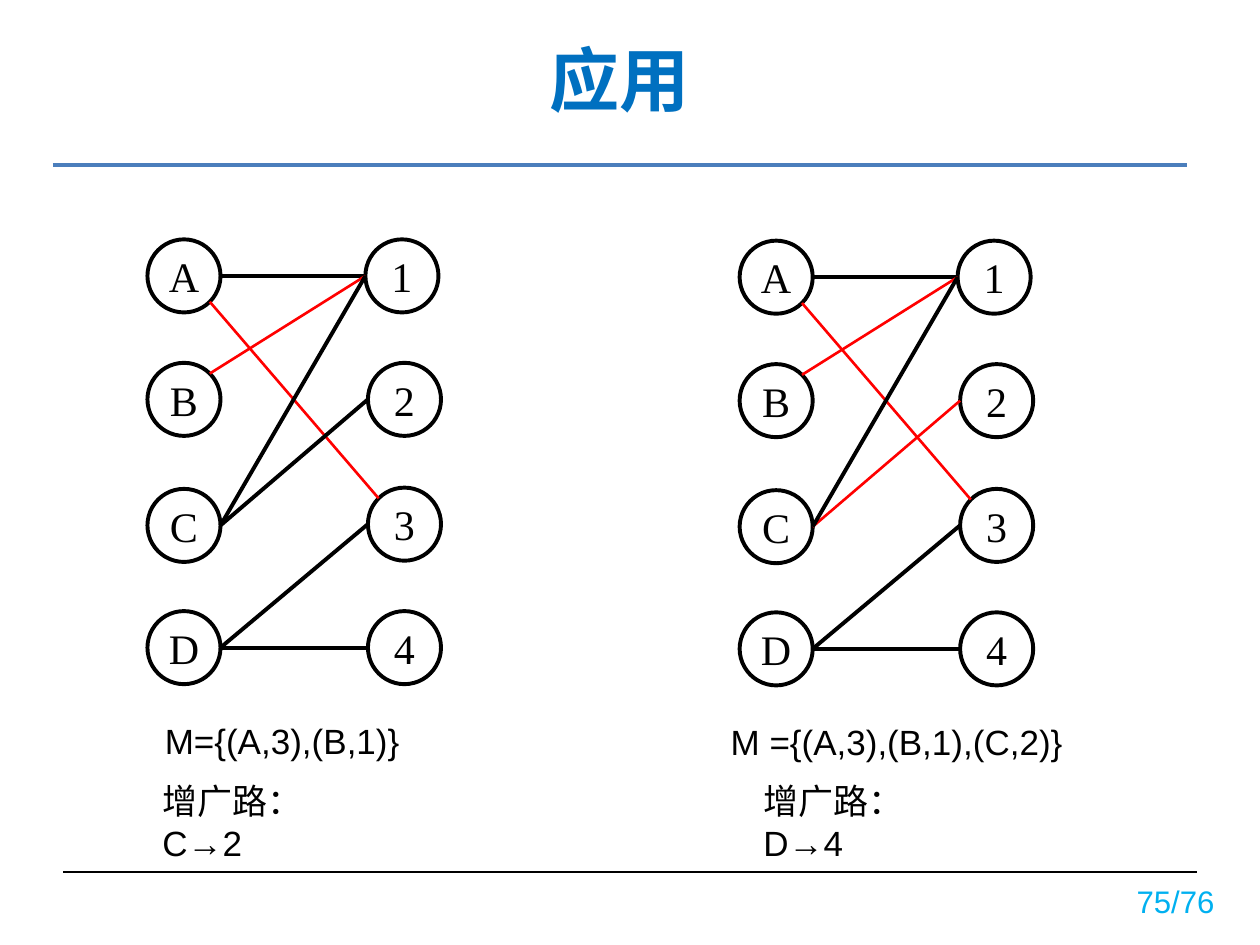
from dataclasses import dataclass
from math import sqrt

from lxml import etree
from pptx import Presentation
from pptx.dml.color import RGBColor
from pptx.enum.shapes import MSO_CONNECTOR, MSO_SHAPE
from pptx.enum.text import MSO_ANCHOR, PP_ALIGN
from pptx.oxml.ns import qn
from pptx.util import Inches, Pt

STRAIGHT = MSO_CONNECTOR.STRAIGHT
OVAL = MSO_SHAPE.OVAL
TOP, MIDDLE = MSO_ANCHOR.TOP, MSO_ANCHOR.MIDDLE
LEFT, CENTER = PP_ALIGN.LEFT, PP_ALIGN.CENTER


@dataclass(frozen=True)
class Theme:
    title: str = "0070C0"
    rule: str = "4B7EBC"
    number: str = "00B0F0"
    ink: str = "000000"
    matched: str = "FF0000"
    sans: str = "Arial"
    serif: str = "Times New Roman"
    chinese: str = "Noto Sans CJK SC"
    title_size: float = 40
    node_size: float = 24
    body_size: float = 20
    number_size: float = 17.8


theme = Theme()
deck = Presentation()
deck.slide_width, deck.slide_height = Inches(10), Inches(7.5)
page = deck.slides.add_slide(deck.slide_layouts[6])


def write(box, text, font, size, color, align=LEFT, anchor=TOP, wrap=False, bold=False):
    """Fill a shape with one paragraph; each newline is a line break."""
    frame = box.text_frame
    frame.word_wrap = wrap
    frame.vertical_anchor = anchor
    para = frame.paragraphs[0]
    para.alignment = align
    for index, line in enumerate(text.split("\n")):
        if index:
            para.add_line_break()
        span = para.add_run()
        span.text = line
        span.font.name, span.font.size, span.font.bold = font, Pt(size), bold
        span.font.color.rgb = RGBColor.from_string(color)
        east_asian = etree.SubElement(span.font._element, qn("a:ea"))
        east_asian.set("typeface", theme.chinese)


def draw_line(start, end, color, width):
    line = page.shapes.add_connector(STRAIGHT, *(Inches(v) for v in (*start, *end)))
    line.line.color.rgb = RGBColor.from_string(color)
    line.line.width = Pt(width)
    etree.SubElement(line._element.spPr, qn("a:effectLst"))


# Frame of the page
number = page.shapes.add_textbox(Inches(8.86), Inches(6.66), Inches(0.94), Inches(0.98))
write(number, "75/76", theme.sans, theme.number_size, theme.number, CENTER, MIDDLE)
draw_line((0.42, 1.31), (9.42, 1.31), theme.rule, 2.75)
draw_line((0.5, 6.92), (9.5, 6.92), theme.ink, 0.75)
title = page.shapes.add_textbox(Inches(0.42), Inches(0.05), Inches(9), Inches(1.14))
write(title, "应用", theme.chinese, theme.title_size, theme.title,
      CENTER, MIDDLE, wrap=True, bold=True)

# Two bipartite graphs with the same nodes and edges
DIAMETER = 0.58
RADIUS = DIAMETER / 2
DIAGONAL = RADIUS / sqrt(2)
NODES = {
    "A": (1.17, 1.9), "B": (1.17, 2.88), "C": (1.17, 3.88), "D": (1.17, 4.85),
    "1": (2.9, 1.9), "2": (2.92, 2.88), "3": (2.92, 3.87), "4": (2.92, 4.85),
}
SIDES = {
    "left": (-RADIUS, 0), "right": (RADIUS, 0),
    "upper left": (-DIAGONAL, -DIAGONAL),
    "upper right": (DIAGONAL, -DIAGONAL), "lower right": (DIAGONAL, DIAGONAL),
}
EDGES = [
    ("A1", "right", "left"), ("A3", "lower right", "upper left"),
    ("B1", "upper right", "left"), ("C2", "right", "left"),
    ("C1", "right", "left"), ("D3", "right", "left"), ("D4", "right", "left"),
]
GRAPHS = [
    ((0, 0), {"A3", "B1"},
     (1.21, 2.07, "M={(A,3),(B,1)}"), (1.19, "增广路：\nC→2")),
    ((4.7, 0.01), {"A3", "B1", "C2"},
     (5.7, 2.85, "M ={(A,3),(B,1),(C,2)}"), (5.96, "增广路：\nD→4")),
]

for (shift_x, shift_y), matching, matching_note, path_note in GRAPHS:
    centers = {}
    for name, (x, y) in NODES.items():
        left, top = x + shift_x, y + shift_y
        centers[name] = (left + RADIUS, top + RADIUS)
        node = page.shapes.add_shape(
            OVAL, Inches(left), Inches(top), Inches(DIAMETER), Inches(DIAMETER))
        node.shadow.inherit = False
        node.fill.background()
        node.line.color.rgb = RGBColor.from_string(theme.ink)
        node.line.width = Pt(2.25)
        write(node, name, theme.serif, theme.node_size, theme.ink, CENTER, MIDDLE)

    for edge, *sides in EDGES:
        start, end = (
            (centers[name][0] + SIDES[side][0], centers[name][1] + SIDES[side][1])
            for name, side in zip(edge, sides))
        color, width = (theme.matched, 1.5) if edge in matching else (theme.ink, 2.25)
        draw_line(start, end, color, width)

    left, width, text = matching_note
    box = page.shapes.add_textbox(
        Inches(left), Inches(5.66 + shift_y), Inches(width), Inches(0.44))
    write(box, text, theme.sans, theme.body_size, theme.ink)

    left, text = path_note
    box = page.shapes.add_textbox(Inches(left), Inches(6.14), Inches(1.96), Inches(0.44))
    write(box, text, theme.sans, theme.body_size, theme.ink, wrap=True)

deck.save("out.pptx")
